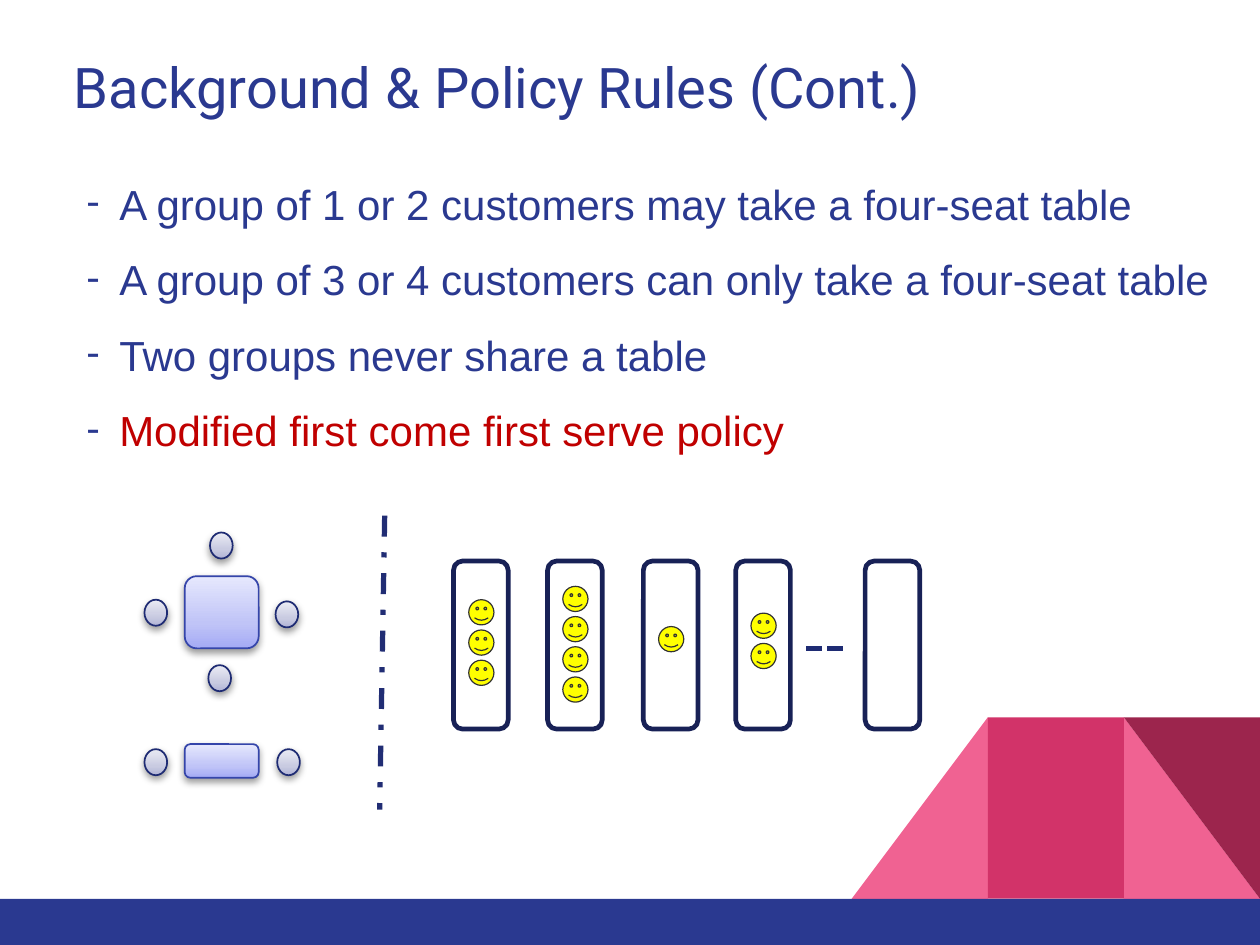
from lxml import etree
from pptx import Presentation
from pptx.dml.color import RGBColor
from pptx.enum.dml import MSO_LINE
from pptx.enum.shapes import MSO_CONNECTOR, MSO_SHAPE
from pptx.enum.text import MSO_ANCHOR, PP_ALIGN
from pptx.oxml.ns import qn
from pptx.util import Emu, Inches, Pt

RECT, ROUND = MSO_SHAPE.RECTANGLE, MSO_SHAPE.ROUNDED_RECTANGLE
TRI, OVAL, SMILE = MSO_SHAPE.RIGHT_TRIANGLE, MSO_SHAPE.OVAL, MSO_SHAPE.SMILEY_FACE
LINE = MSO_CONNECTOR.STRAIGHT
DASH, DOTS = MSO_LINE.DASH_DOT, MSO_LINE.SQUARE_DOT
TOP, LEFT = MSO_ANCHOR.TOP, PP_ALIGN.LEFT

# The slide is 4:3, on a grid of 75 columns
WIDE = Inches(7.5)
TALL = WIDE * 3 // 4
CELL = WIDE // 75

BLUE, RED, NAVY = "2A3990", "C00000", "1E2B73"
PINK, ROSE, WINE = "F06292", "D23369", "9C254D"
TABLE = ("A4AAF5", "C0C4F7", "E6E8FD")
SEAT = ("B1B4D6", "C9CBE1", "EAEBF4")


def color(code):
    return RGBColor.from_string(code)


def grid(*cells):
    return [Emu(round(n * CELL)) for n in cells]


def node(root, tag, **attrs):
    """Add a drawing element below root."""
    item = etree.SubElement(root, qn("a:" + tag))
    for key, val in attrs.items():
        item.set(key, str(val))
    return item


class Deck:
    frame = {"word_wrap": True, "vertical_anchor": TOP,
             "margin_left": Inches(0.07), "margin_right": Inches(0.07),
             "margin_top": Inches(0.07), "margin_bottom": Inches(0.07)}

    def __init__(self):
        self.show = Presentation()
        self.show.slide_width, self.show.slide_height = WIDE, TALL
        self.slide = self.show.slides.add_slide(self.show.slide_layouts[1])

    def place(self, holder, box):
        names = ("left", "top", "width", "height")
        for key, val in zip(names, grid(*box)):
            setattr(holder, key, val)
        for key, val in self.frame.items():
            setattr(holder.text_frame, key, val)
        return holder.text_frame

    def label(self, para, text, size, face, ink, **style):
        run = para.add_run()
        run.text = text
        for key, val in {"size": Pt(size), "name": face}.items():
            setattr(run.font, key, val)
        run.font.color.rgb = color(ink)
        for key, val in style.items():
            setattr(para, key, val)

    def title(self, box, text):
        frame = self.place(self.slide.shapes.title, box)
        self.label(frame.paragraphs[0], text, 24, "Roboto", BLUE, alignment=LEFT)

    def items(self, box, rows):
        frame = self.place(self.slide.placeholders[1], box)
        for i, (text, ink) in enumerate(rows):
            para = frame.add_paragraph() if i else frame.paragraphs[0]
            self.label(para, text, 18, "Arial", ink,
                       line_spacing=1.5, space_before=Pt(0))
            props = para._p.get_or_add_pPr()
            props.set("marL", str(Inches(0.38)))
            props.set("indent", str(Inches(-0.19)))
            node(node(props, "buClr"), "srgbClr", val=BLUE)
            node(props, "buFont", typeface="Roboto")
            node(props, "buChar", char="-")

    def shape(self, kind, box, fill=None, line=None, width=0.75):
        item = self.slide.shapes.add_shape(kind, *grid(*box))
        item.shadow.inherit = False
        if fill:
            item.fill.solid()
            item.fill.fore_color.rgb = color(fill)
        else:
            item.fill.background()
        if line:
            item.line.color.rgb = color(line)
            item.line.width = Pt(width)
        else:
            item.line.fill.background()
        return item

    def raised(self, kind, box, tones, line):
        """A shape with a three-tone gradient and a soft shadow."""
        item = self.shape(kind, box, line=line)
        item.fill.gradient()
        item.fill.gradient_angle = 90
        props = item._element.spPr
        stops = props.find(qn("a:gradFill")).find(qn("a:gsLst"))
        for old in list(stops):
            stops.remove(old)
        for pos, tone in zip((0, 35000, 100000), tones):
            node(node(stops, "gs", pos=pos), "srgbClr", val=tone)
        glow = node(props.find(qn("a:effectLst")), "outerShdw", blurRad=Pt(3.1),
                    dist=Pt(1.6), dir=5400000, rotWithShape=0)
        node(node(glow, "srgbClr", val="000000"), "alpha", val=38000)

    def rule(self, ends, ink, dash):
        item = self.slide.shapes.add_connector(LINE, *grid(*ends))
        item.line.color.rgb = color(ink)
        item.line.width = Pt(2.25)
        item.line.dash_style = dash
        node(item._element.spPr, "effectLst")


def main():
    deck = Deck()

    # Corner decoration and footer band
    left, top, wide, tall = 50.7, 42.7, 8.1, 10.8
    spots = [(left + i * wide, top, wide, tall) for i in range(3)]
    deck.shape(TRI, spots[2], PINK)
    slope = deck.shape(TRI, spots[0], PINK)
    slope._element.spPr.xfrm.set("flipH", "1")
    deck.shape(RECT, spots[1], ROSE)
    deck.shape(TRI, spots[2], WINE).rotation = 180
    deck.shape(RECT, (0, 53.5, 75, 2.75), BLUE)

    # Title and rules
    deck.title((3.7, 2.4, 53, 5), "Background & Policy Rules (Cont.)")
    deck.items((2.6, 8.4, 71.7, 19.1), [
        ("A group of 1 or 2 customers may take a four-seat table", BLUE),
        ("A group of 3 or 4 customers can only take a four-seat table", BLUE),
        ("Two groups never share a table", BLUE),
        ("Modified first come first serve policy", RED)])

    # Tables with their seats
    for y, tall in ((34.3, 4.3), (44.3, 2)):
        deck.raised(ROUND, (11, y, 4.4, tall), TABLE, "3545AA")
    for x, y in ((12.5, 31.7), (16.4, 35.8), (12.4, 39.6), (8.6, 35.7),
                 (8.6, 44.6), (16.5, 44.6)):
        deck.raised(OVAL, (x, y, 1.35, 1.55), SEAT, NAVY)

    # Divider, then the queue: left edge, first face, number of faces
    deck.rule((22.9, 30.7, 22.6, 48.2), "212D74", DASH)
    for x, y, count in ((27, 35.7, 3), (32.6, 34.9, 4), (38.3, 37.3, 1),
                        (43.8, 36.5, 2), (51.5, 0, 0)):
        for i in range(count):
            deck.shape(SMILE, (x + 0.9, y + 1.8 * i, 1.5, 1.5),
                       "FFFF00", "323232", 0.5)
        deck.shape(ROUND, (x, 33.4, 3.25, 10), line="182156", width=2)
    deck.rule((48, 38.6, 50.4, 38.6), NAVY, DOTS)

    deck.show.save("out.pptx")


if __name__ == "__main__":
    main()
